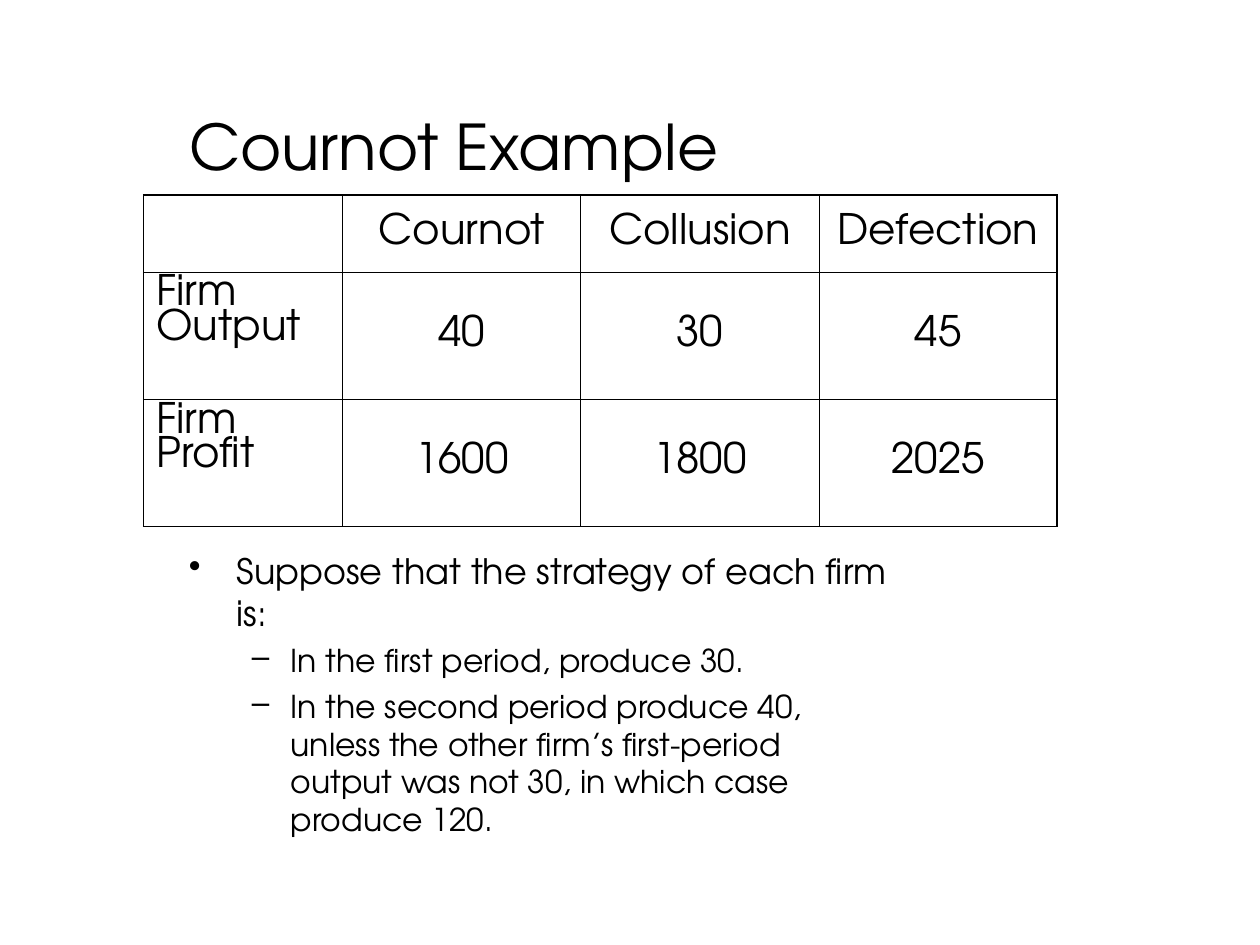
from lxml.etree import SubElement
from pptx import Presentation
from pptx.dml.color import RGBColor
from pptx.enum.text import MSO_ANCHOR, PP_ALIGN
from pptx.oxml.ns import qn
from pptx.util import Inches, Pt

FONT = "TeX Gyre Adventor"
BLACK = "000000"
THIN, THICK = 0.45, 1.08


def format_paragraph(paragraph, size, color=BLACK, **values):
    for name, value in values.items():
        setattr(paragraph, name, value)
    for name, value in {"name": FONT, "size": Pt(size), "bold": False}.items():
        setattr(paragraph.font, name, value)
    paragraph.font.color.rgb = RGBColor.from_string(color)


def add_border(cell, side, width, color=BLACK):
    line = SubElement(cell._tc.get_or_add_tcPr(), qn(f"a:ln{side}"), w=str(Pt(width)))
    fill = SubElement(line, qn("a:solidFill"))
    SubElement(fill, qn("a:srgbClr"), val=color)


presentation = Presentation()
presentation.slide_width = Inches(10)
presentation.slide_height = Inches(7.5)
slide = presentation.slides.add_slide(presentation.slide_layouts[5])

# Title
title = slide.shapes.title
title.left, title.top = Inches(1.4), Inches(0.75)
title.width, title.height = Inches(7.75), Inches(0.8)
title.text_frame.text = "Cournot Example"
title.text_frame.vertical_anchor = MSO_ANCHOR.MIDDLE
format_paragraph(title.text_frame.paragraphs[0], 36, alignment=PP_ALIGN.LEFT)

# Table of output and profit
rows = [
    ["", "Cournot", "Collusion", "Defection"],
    ["Firm Output", "40", "30", "45"],
    ["Firm Profit", "1600", "1800", "2025"],
]
column_widths = [1.58, 1.89, 1.89, 1.89]
row_heights = [0.61, 1.01, 1.01]
last_row, last_column = len(rows) - 1, len(column_widths) - 1
table = slide.shapes.add_table(
    len(rows), len(column_widths), Inches(1.14), Inches(1.55),
    Inches(sum(column_widths)), Inches(sum(row_heights))).table
table.first_row = table.horz_banding = False
for column, width in zip(table.columns, column_widths):
    column.width = Inches(width)
for row, height in zip(table.rows, row_heights):
    row.height = Inches(height)

for row_index, texts in enumerate(rows):
    for column_index, text in enumerate(texts):
        cell = table.cell(row_index, column_index)
        is_label = column_index == 0
        cell.text = text
        cell.vertical_anchor = MSO_ANCHOR.TOP if is_label else MSO_ANCHOR.MIDDLE
        format_paragraph(
            cell.text_frame.paragraphs[0], 24, line_spacing=0.88,
            alignment=PP_ALIGN.LEFT if is_label else PP_ALIGN.CENTER)
        # The outer frame is thicker than the inner rules
        outer_sides = {
            "L": column_index == 0,
            "R": column_index == last_column,
            "T": row_index == 0,
            "B": row_index == last_row,
        }
        for side, is_outer in outer_sides.items():
            add_border(cell, side, THICK if is_outer else THIN)
        cell.fill.background()

# Strategy bullets: text, level, bullet, size, left margin, indent, space before
bullets = [
    ("Suppose that the strategy of each firm is:", 0, "•", 20, 0.38, -0.38, 0),
    ("In the first period, produce 30.", 1, "–", 18, 0.81, -0.31, 4.5),
    ("In the second period produce 40, unless the other firm’s first-period "
     "output was not 30, in which case produce 120.", 1, "–", 18, 0.81, -0.31, 4.5),
]
strategy = slide.shapes.add_textbox(
    Inches(1.4), Inches(4.31), Inches(5.75), Inches(2.39)).text_frame
strategy.word_wrap = True
for index, (text, level, bullet, size, margin, indent, space) in enumerate(bullets):
    paragraph = strategy.add_paragraph() if index else strategy.paragraphs[0]
    paragraph.text = text
    properties = paragraph._p.get_or_add_pPr()
    properties.set("marL", str(Inches(margin)))
    properties.set("indent", str(Inches(indent)))
    SubElement(properties, qn("a:buChar"), char=bullet)
    format_paragraph(paragraph, size, level=level, space_before=Pt(space))

presentation.save("out.pptx")
